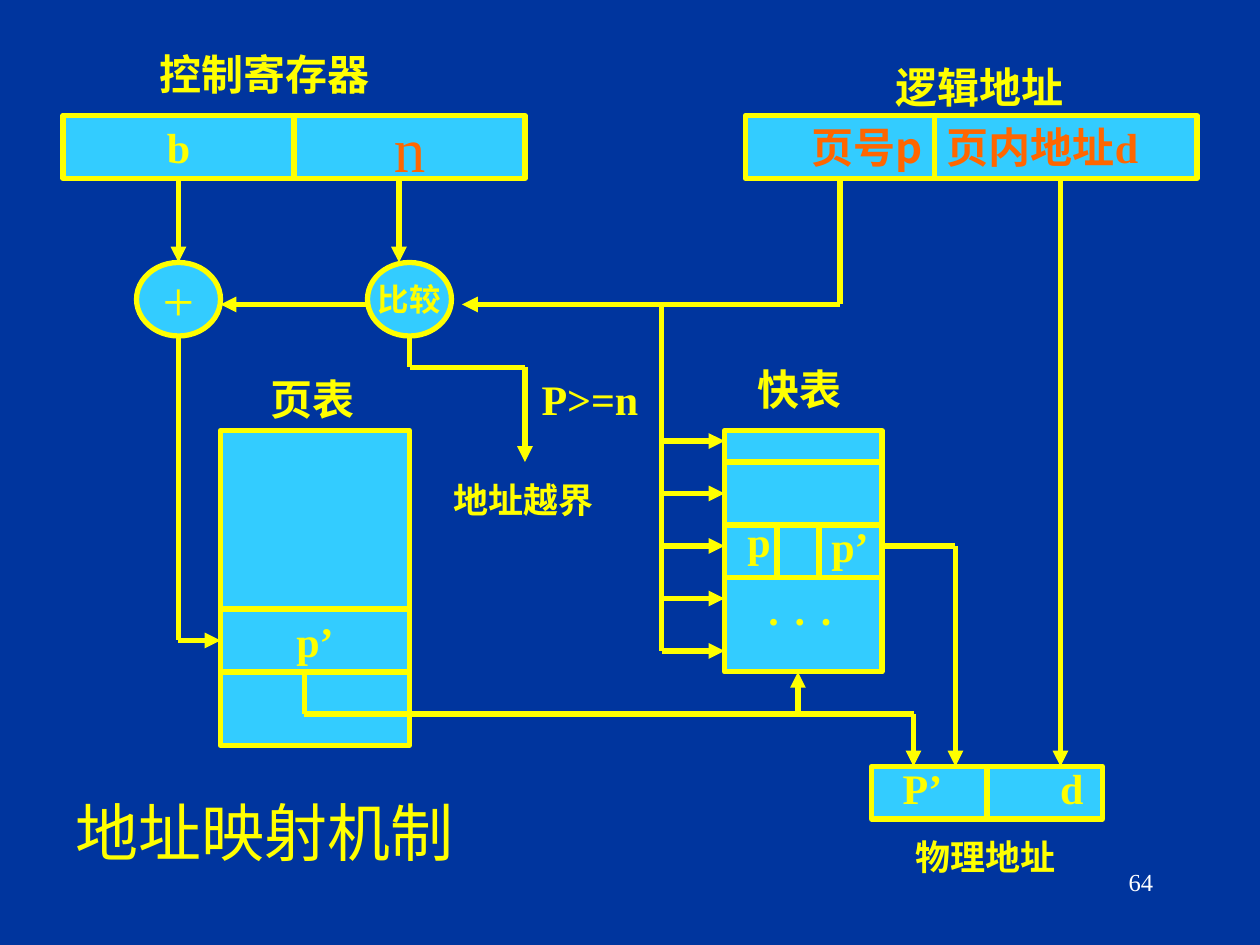
import lxml.etree
import pptx
import pptx.util
import pptx.dml.color
import pptx.enum.shapes
import pptx.enum.text
import pptx.oxml.ns

Cm = pptx.util.Cm
Pt = pptx.util.Pt
Kind = pptx.enum.shapes.MSO_SHAPE
Align = pptx.enum.text.PP_ALIGN
Anchor = pptx.enum.text.MSO_ANCHOR
qn = pptx.oxml.ns.qn

NAVY, SKY, GOLD, RUST, WHITE = "00359E", "33CCFF", "FFFF00", "FF6600", "FFFFFF"
SERIF, SANS = "Times New Roman", "Noto Sans CJK SC"

# All places are in steps of 1/12 inch; the slide is 120 by 90 steps.
STEP = 2.54 / 12

# name: (kind, left, top, width, height, text, text format)
SHAPES = {
    "base": (Kind.RECTANGLE, 6, 11, 22, 6, "b", {}),
    "count": (Kind.RECTANGLE, 28, 11, 22, 6, "n", dict(size=36, tint=RUST, bold=False)),
    "sum": (Kind.OVAL, 13, 25, 8, 7, "+", dict(size=32, bold=False)),
    "test": (Kind.OVAL, 35, 25, 8, 7, "比较", dict(size=18)),
    "pages": (Kind.RECTANGLE, 21, 41, 18, 30, "", {}),
    "cache": (Kind.RECTANGLE, 69, 41, 15, 23, "", {}),
    "logic": (Kind.RECTANGLE, 71, 11, 43, 6, "", {}),
    "real": (Kind.RECTANGLE, 83, 73, 22, 5, "", {}),
}

# name: (left, top, width, height, text, text format)
MID = dict(anchor=Anchor.MIDDLE)
CELLS = {
    "page": (71, 11, 18, 6, "页号p", dict(MID, face=SANS, tint=RUST, align=Align.RIGHT)),
    "offset": (89, 11, 25, 6, "页内地址", dict(MID, face=SANS, tint=RUST)),
    "frame": (21, 58, 18, 6, "p’", dict(MID, align=Align.CENTER)),
}

# (left, top, width, height, text, text format)
LABELS = [
    (14, 4, 27, 6, "控制寄存器", {}),
    (84.1, 5.3, 19, 6, "逻辑地址", {}),
    (24.6, 35, 11, 6, "页表", {}),
    (71, 34, 11, 6, "快表", {}),
    (50.4, 35, 12.5, 6, "P>=n", {}),
    (42, 45, 16.5, 5.3, "地址越界", dict(size=20)),
    (70, 48.5, 5, 6, "p", {}),
    (78, 49, 7, 6, "p’", {}),
    (84.8, 72, 7, 6, "P’", {}),
    (99.8, 72, 5, 6, "d", {}),
    (86, 79, 16.5, 5.3, "物理地址", dict(size=20)),
    (6, 75, 40, 10, "地址映射机制", dict(size=36, bold=False)),
    (86, 82, 25, 6, "64", dict(size=14, tint=WHITE, bold=False, align=Align.RIGHT)),
] + [(72 + 2.5 * i, 55, 4, 6, ".", {}) for i in range(3)]

# Plain lines: points along the way
RULES = [
    [(21, 58), (39, 58)], [(21, 64), (39, 64)],
    *[[(69, y), (84, y)] for y in (44, 50, 55)],
    *[[(x, 50), (x, 55)] for x in (74, 78)],
    [(89, 11), (89, 17)], [(94, 73), (94, 78)],
    [(63, 29), (63, 62)],
]

# Arrows: (points along the way, name joined at start, name joined at end)
ARROWS = [
    ([(17, 17), (17, 25)], "base", None),
    ([(38, 17), (38, 25)], None, None),
    ([(35, 29), (21, 29)], None, None),
    ([(80, 17), (80, 29), (44, 29)], "page", None),
    ([(39, 32), (39, 35), (50, 35), (50, 44)], None, None),
    ([(17, 32), (17, 61), (21, 61)], None, "frame"),
    ([(29, 64), (29, 68), (87, 68), (87, 73)], None, None),
    ([(76, 68), (76, 64)], None, None),
    ([(84, 52), (91, 52), (91, 73)], None, None),
    ([(101, 17), (101, 73)], None, None),
] + [([(63, 42 + 5 * i), (69, 42 + 5 * i)], None, None) for i in range(5)]


def grid(*nums):
    return [Cm(n * STEP) for n in nums]


def rgb(code):
    return pptx.dml.color.RGBColor.from_string(code)


def add_run(para, text, size, tint, bold, face):
    run = para.add_run()
    run.text = text
    for key, value in dict(size=Pt(size), bold=bold, name=face).items():
        setattr(run.font, key, value)
    run.font.color.rgb = rgb(tint)


def write(box, text, size=24, tint=GOLD, bold=True, face=SERIF,
          align=Align.LEFT, anchor=Anchor.TOP, wrap=False):
    frame = box.text_frame
    frame.word_wrap = wrap
    frame.vertical_anchor = anchor
    para = frame.paragraphs[0]
    para.alignment = align
    add_run(para, text, size, tint, bold, face)


def add_text(left, top, width, height, text, form):
    box = slide.shapes.add_textbox(*grid(left, top, width, height))
    write(box, text, wrap=True, **form)
    return box


def draw(points):
    """Chain straight connectors through the points and return them."""
    parts = []
    for start, end in zip(points, points[1:]):
        part = slide.shapes.add_connector(
            pptx.enum.shapes.MSO_CONNECTOR.STRAIGHT, *grid(*start, *end))
        part.line.color.rgb = rgb(GOLD)
        part.line.width = Pt(3)
        lxml.etree.SubElement(part._element.spPr, qn("a:effectLst"))
        parts.append(part)
    return parts


deck = pptx.Presentation()
deck.slide_width, deck.slide_height = grid(120, 90)
slide = deck.slides.add_slide(deck.slide_layouts[6])
slide.background.fill.solid()
slide.background.fill.fore_color.rgb = rgb(NAVY)

named = {}
for name, (kind, *place, text, form) in SHAPES.items():
    shape = named[name] = slide.shapes.add_shape(kind, *grid(*place))
    shape.shadow.inherit = False
    shape.fill.solid()
    shape.fill.fore_color.rgb = rgb(SKY)
    shape.line.color.rgb = rgb(GOLD)
    shape.line.width = Pt(3)
    if text:
        write(shape, text, align=Align.CENTER, anchor=Anchor.MIDDLE, **form)

for name, cell in CELLS.items():
    named[name] = add_text(*cell)
add_run(named["offset"].text_frame.paragraphs[0], "d", 24, RUST, True, SERIF)

for points in RULES:
    draw(points)

for points, source, target in ARROWS:
    parts = draw(points)
    if source:
        parts[0].begin_connect(named[source], 2)
    if target:
        parts[-1].end_connect(named[target], 1)
    line = parts[-1]._element.spPr.find(qn("a:ln"))
    lxml.etree.SubElement(line, qn("a:tailEnd"), type="triangle")

for label in LABELS:
    add_text(*label)

deck.save("out.pptx")
